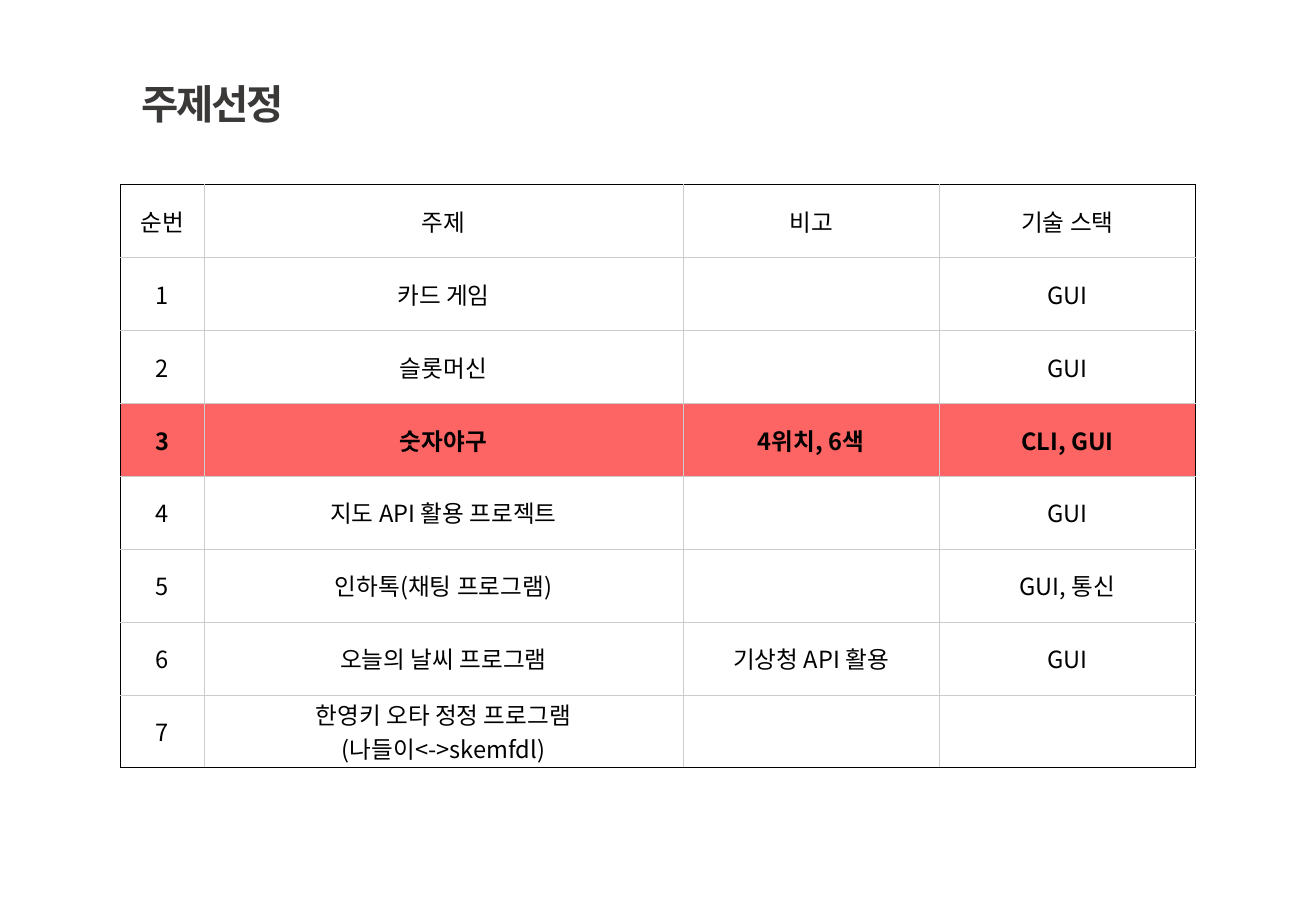
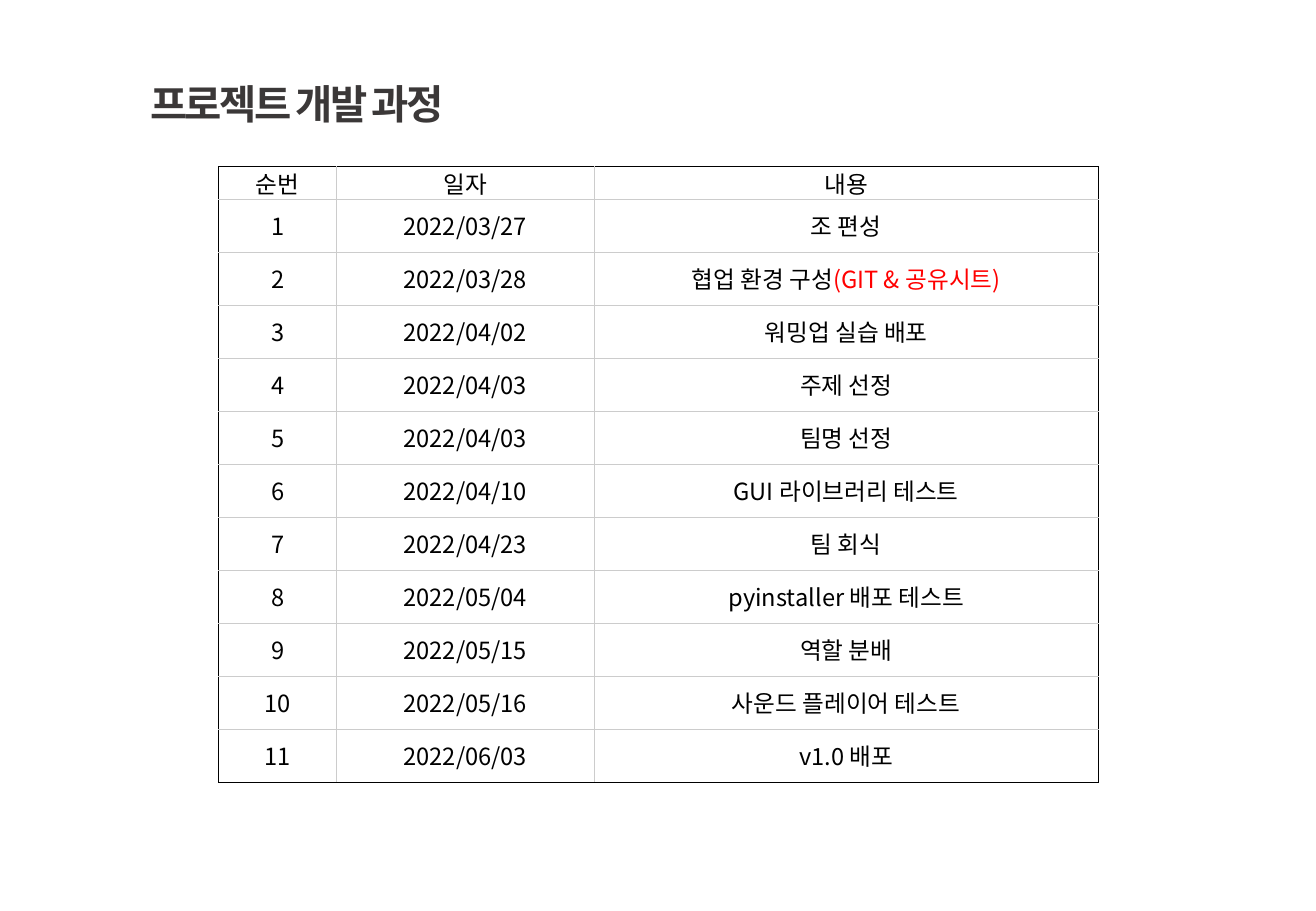
from dataclasses import dataclass

from lxml.etree import SubElement
from pptx import Presentation
from pptx.dml.color import RGBColor
from pptx.enum.text import MSO_ANCHOR, MSO_AUTO_SIZE, PP_ALIGN
from pptx.oxml.ns import qn
from pptx.util import Inches, Pt


@dataclass(frozen=True)
class Theme:
    font: str = "Noto Sans CJK KR"
    title_color: str = "3B3838"
    text_color: str = "000000"
    accent_color: str = "FF0000"
    highlight: str = "FD6564"
    frame_color: str = "000000"
    grid_color: str = "CCCCCC"
    title_size: int = 24
    cell_size: int = 14
    title_spacing: float = -1.5
    line_width: float = 0.38


class Deck:
    def __init__(self, theme):
        self.theme = theme
        self.prs = Presentation()
        self.prs.slide_width = Inches(10.83)
        self.prs.slide_height = Inches(7.5)
        self.slide = None

    def new_slide(self, title, title_width):
        self.slide = self.prs.slides.add_slide(self.prs.slide_layouts[6])
        box = self.slide.shapes.add_textbox(
            Inches(1.03), Inches(0.6), Inches(title_width), Inches(0.5))
        frame = box.text_frame
        frame.word_wrap = False
        frame.auto_size = MSO_AUTO_SIZE.SHAPE_TO_FIT_TEXT
        heading = frame.paragraphs[0]
        heading.text = title
        self.style(heading, self.theme.title_size, self.theme.title_color,
                   bold=True, spacing=self.theme.title_spacing)

    def style(self, paragraph, size, color, bold=False, spacing=0):
        paragraph.alignment = PP_ALIGN.CENTER
        font = paragraph.font
        font.size = Pt(size)
        font.bold = bold
        font.color.rgb = RGBColor.from_string(color)
        font.name = self.theme.font
        defaults = paragraph._p.pPr.find(qn("a:defRPr"))
        SubElement(defaults, qn("a:ea"), typeface=self.theme.font)
        if spacing:
            defaults.set("spc", str(int(spacing * 100)))

    def border(self, cell, side, color):
        """Draw one cell side: L, R, T or B, added in that order."""
        line = SubElement(cell._tc.get_or_add_tcPr(), qn(f"a:ln{side}"),
                          w=str(Pt(self.theme.line_width)))
        fill = SubElement(line, qn("a:solidFill"))
        SubElement(fill, qn("a:srgbClr"), val=color)

    def cell(self, cell, content, margin, outer_sides, highlighted):
        """Fill a cell; content is a text or a (text, accented text) pair."""
        theme = self.theme
        cell.margin_left = cell.margin_right = Inches(margin)
        cell.margin_top = cell.margin_bottom = Inches(margin)
        cell.vertical_anchor = MSO_ANCHOR.MIDDLE
        for side in "LRTB":
            self.border(cell, side, theme.frame_color if side in outer_sides
                        else theme.grid_color)
        if highlighted:
            cell.fill.solid()
            cell.fill.fore_color.rgb = RGBColor.from_string(theme.highlight)
        else:
            cell.fill.background()
        text, accent = content if isinstance(content, tuple) else (content, "")
        paragraph = cell.text_frame.paragraphs[0]
        paragraph.text = text
        self.style(paragraph, theme.cell_size, theme.text_color, highlighted)
        if accent:
            run = paragraph.add_run()
            run.text = accent
            run.font.color.rgb = RGBColor.from_string(theme.accent_color)

    def numbered_table(self, left, top, height, widths, header_height,
                       headers, entries, margin=0, highlight=None):
        """Add a table whose first column counts the entries from 1."""
        rows = [headers] + [(str(n), *entry)
                            for n, entry in enumerate(entries, 1)]
        table = self.slide.shapes.add_table(
            len(rows), len(widths), Inches(left), Inches(top),
            Inches(sum(widths)), Inches(height)).table
        table.first_row = table.horz_banding = False
        for column, width in zip(table.columns, widths):
            column.width = Inches(width)
        entry_height = (height - header_height) / len(entries)
        last_row, last_col = len(rows) - 1, len(widths) - 1
        for r, row in enumerate(rows):
            table.rows[r].height = Inches(entry_height if r else header_height)
            for c, content in enumerate(row):
                edges = {"L": c == 0, "R": c == last_col,
                         "T": r == 0, "B": r == last_row}
                outer_sides = [side for side, outer in edges.items() if outer]
                self.cell(table.cell(r, c), content, margin, outer_sides,
                          r == highlight)


TOPICS = [
    ("카드 게임", "", "GUI"),
    ("슬롯머신", "", "GUI"),
    ("숫자야구", "4위치, 6색", "CLI, GUI"),
    ("지도 API 활용 프로젝트", "", "GUI"),
    ("인하톡(채팅 프로그램)", "", "GUI, 통신"),
    ("오늘의 날씨 프로그램", "기상청 API 활용", "GUI"),
    ("한영키 오타 정정 프로그램\n(나들이<->skemfdl)", "", ""),
]

MILESTONES = [
    ("2022/03/27", "조 편성"),
    ("2022/03/28", ("협업 환경 구성", "(GIT & 공유시트)")),
    ("2022/04/02", "워밍업 실습 배포"),
    ("2022/04/03", "주제 선정"),
    ("2022/04/03", "팀명 선정"),
    ("2022/04/10", "GUI 라이브러리 테스트"),
    ("2022/04/23", "팀 회식"),
    ("2022/05/04", "pyinstaller 배포 테스트"),
    ("2022/05/15", "역할 분배"),
    ("2022/05/16", "사운드 플레이어 테스트"),
    ("2022/06/03", "v1.0 배포"),
]


def main():
    deck = Deck(Theme())

    deck.new_slide("주제선정", 1.44)
    deck.numbered_table(0.99, 1.52, 4.8, [0.69, 3.94, 2.11, 2.11], 0.6,
                        ("순번", "주제", "비고", "기술 스택"), TOPICS,
                        margin=0.01, highlight=3)

    deck.new_slide("프로젝트 개발 과정", 2.83)
    deck.numbered_table(1.8, 1.37, 5.07, [0.97, 2.12, 4.15], 0.27,
                        ("순번", "일자", "내용"), MILESTONES)

    deck.prs.save("out.pptx")


if __name__ == "__main__":
    main()
